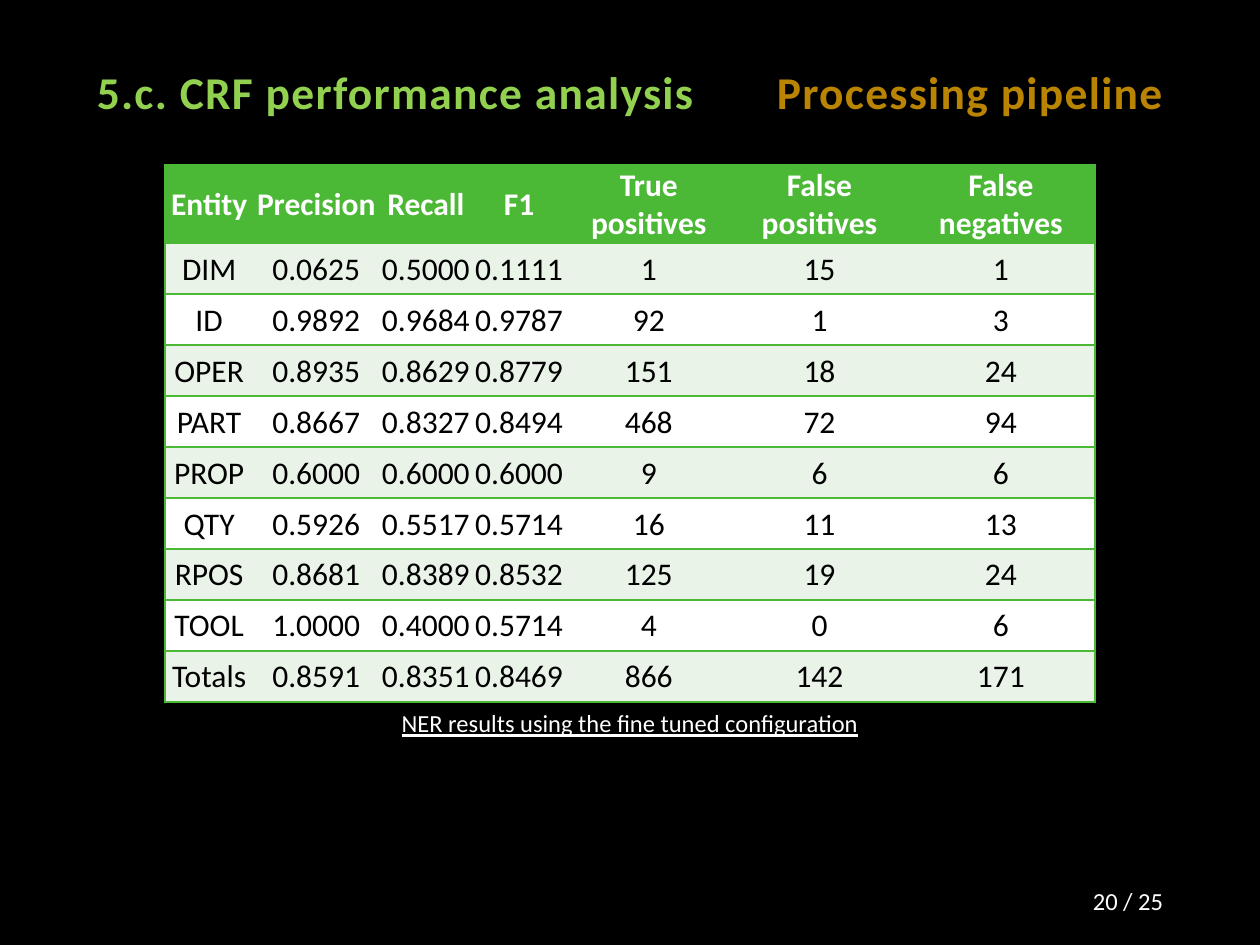
import pptx
import pptx.dml.color
import pptx.enum.text
import pptx.oxml
import pptx.oxml.ns
import pptx.util
from pptx.util import Inches

RGBColor = pptx.dml.color.RGBColor
Align = pptx.enum.text.PP_ALIGN
Anchor = pptx.enum.text.MSO_ANCHOR

BLACK = RGBColor(0x00, 0x00, 0x00)
WHITE = RGBColor(0xFF, 0xFF, 0xFF)
LIME = RGBColor(0x92, 0xD0, 0x50)
AMBER = RGBColor(0xBA, 0x84, 0x03)
GREEN = RGBColor(0x4B, 0xB8, 0x36)
PALE_GREEN = RGBColor(0xE9, 0xF3, 0xE8)
FONT = "Calibri"

COLUMN_WIDTHS = (0.7, 1, 0.74, 0.74, 1.32, 1.39, 1.49)
HEADER_HEIGHT = 0.62
ROW_HEIGHT = 0.405
RESULTS = (
    ("Entity", "Precision", "Recall", "F1",
     "True positives", "False positives", "False negatives"),
    ("DIM", "0.0625", "0.5000", "0.1111", "1", "15", "1"),
    ("ID", "0.9892", "0.9684", "0.9787", "92", "1", "3"),
    ("OPER", "0.8935", "0.8629", "0.8779", "151", "18", "24"),
    ("PART", "0.8667", "0.8327", "0.8494", "468", "72", "94"),
    ("PROP", "0.6000", "0.6000", "0.6000", "9", "6", "6"),
    ("QTY", "0.5926", "0.5517", "0.5714", "16", "11", "13"),
    ("RPOS", "0.8681", "0.8389", "0.8532", "125", "19", "24"),
    ("TOOL", "1.0000", "0.4000", "0.5714", "4", "0", "6"),
    ("Totals", "0.8591", "0.8351", "0.8469", "866", "142", "171"),
)


def format_paragraph(paragraph, size, color, align, bold=False):
    paragraph.alignment = align
    for run in paragraph.runs:
        run.font.name = FONT
        run.font.size = pptx.util.Pt(size)
        run.font.bold = bold
        run.font.color.rgb = color


def add_text(slide, box, text, size, color, align, anchor, bold=False):
    shape = slide.shapes.add_textbox(*map(Inches, box))
    frame = shape.text_frame
    frame.word_wrap = True
    frame.vertical_anchor = anchor
    frame.text = text
    format_paragraph(frame.paragraphs[0], size, color, align, bold)
    return frame.paragraphs[0]


def add_heading(slide, box, text, color, align):
    paragraph = add_text(slide, box, text, 26, color, align, Anchor.BOTTOM, True)
    paragraph.line_spacing = 0.9
    paragraph.runs[0].font._element.set("spc", "75")


def add_caption(slide, box, text):
    paragraph = add_text(slide, box, text, 14, WHITE, Align.CENTER, Anchor.TOP)
    paragraph.line_spacing = 0.9
    paragraph.runs[0].font.underline = True


def add_borders(cell, visible_sides):
    """Draw green one-point lines on the given sides and clear the others."""
    properties = cell._tc.get_or_add_tcPr()
    green_line = f'<a:solidFill><a:srgbClr val="{GREEN}"/></a:solidFill>'
    for index, side in enumerate("LRTB"):
        paint = green_line if side in visible_sides else "<a:noFill/>"
        line = pptx.oxml.parse_xml(
            f'<a:ln{side} {pptx.oxml.ns.nsdecls("a")} w="12700">'
            f'{paint}</a:ln{side}>')
        properties.insert(index, line)


def fill_cell(cell, text, fill, color, bold):
    cell.text = text
    cell.vertical_anchor = Anchor.MIDDLE
    cell.margin_left = cell.margin_right = cell.margin_top = Inches(0.01)
    cell.margin_bottom = 0
    cell.fill.solid()
    cell.fill.fore_color.rgb = fill
    format_paragraph(cell.text_frame.paragraphs[0], 18, color, Align.CENTER, bold)


def add_results_table(slide, left, top):
    last_column = len(COLUMN_WIDTHS) - 1
    height = HEADER_HEIGHT + ROW_HEIGHT * (len(RESULTS) - 1)
    table = slide.shapes.add_table(
        len(RESULTS), len(COLUMN_WIDTHS), Inches(left), Inches(top),
        Inches(sum(COLUMN_WIDTHS)), Inches(height)).table
    for column, width in zip(table.columns, COLUMN_WIDTHS):
        column.width = Inches(width)
    for row_index, values in enumerate(RESULTS):
        header = row_index == 0
        table.rows[row_index].height = Inches(HEADER_HEIGHT if header else ROW_HEIGHT)
        band = PALE_GREEN if row_index % 2 else WHITE
        for column_index, value in enumerate(values):
            cell = table.cell(row_index, column_index)
            fill_cell(cell, value, GREEN if header else band,
                      WHITE if header else BLACK, header)
            outer = {0: "L", last_column: "R"}.get(column_index, "")
            add_borders(cell, outer + "TB")


def main():
    presentation = pptx.Presentation()
    presentation.slide_width = Inches(10)
    presentation.slide_height = Inches(7.5)
    slide = presentation.slides.add_slide(presentation.slide_layouts[6])
    slide.background.fill.solid()
    slide.background.fill.fore_color.rgb = BLACK

    add_heading(slide, (0.67, 0.42, 5.59, 0.58),
                "5.c. CRF performance analysis", LIME, Align.LEFT)
    add_results_table(slide, 1.31, 1.31)
    add_heading(slide, (5.31, 0.42, 4.02, 0.58),
                "Processing pipeline", AMBER, Align.RIGHT)
    add_text(slide, (8.31, 7, 1.02, 0.3), "20 / 25", 14, WHITE,
             Align.RIGHT, Anchor.MIDDLE)
    add_caption(slide, (1.26, 5.6, 7.48, 0.31),
                "NER results using the fine tuned configuration")
    presentation.save("out.pptx")


if __name__ == "__main__":
    main()
